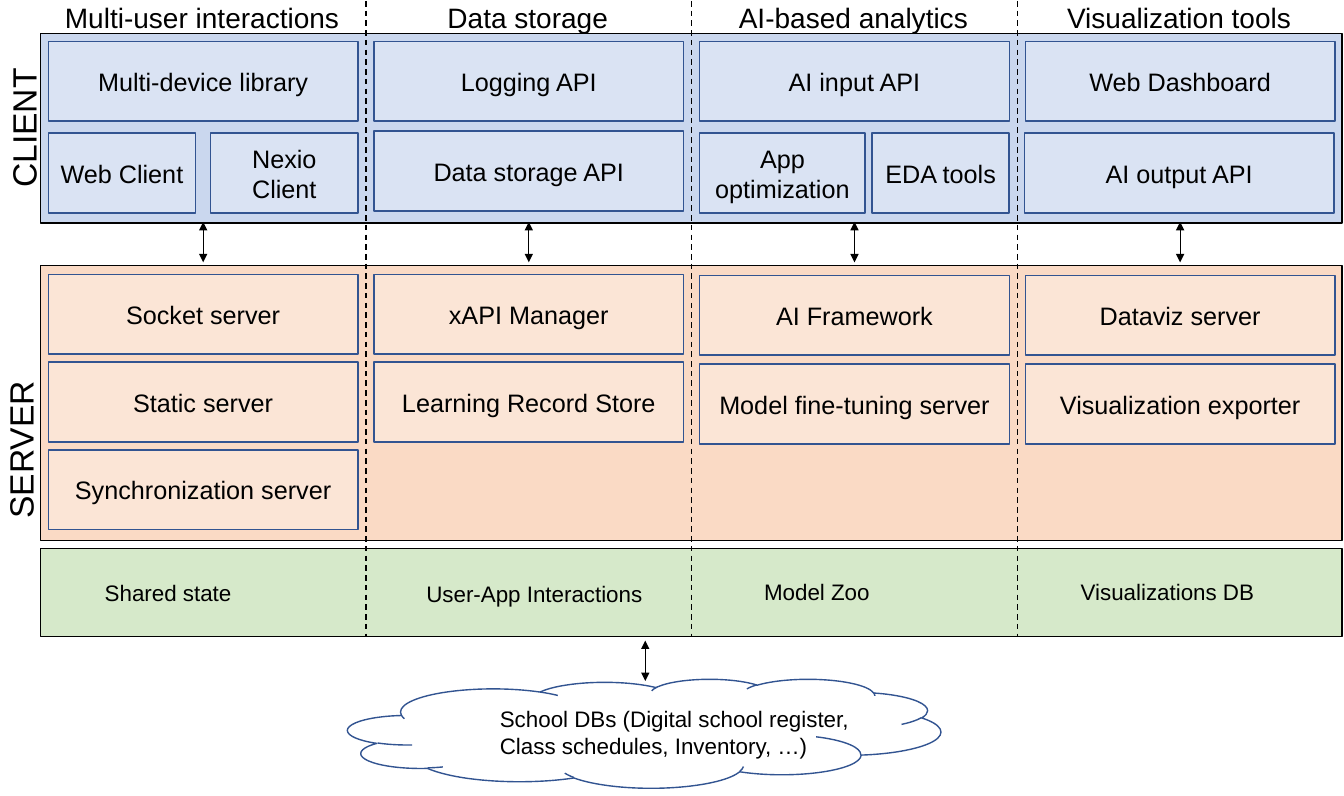
"""Builds the client and server architecture slide of a learning platform."""
from dataclasses import dataclass

from lxml import etree
from pptx import Presentation
from pptx import util as u
from pptx.dml.color import RGBColor
from pptx.enum import dml, shapes, text
from pptx.oxml.ns import qn


@dataclass(frozen=True)
class Theme:
    font: str = "Arial"
    ink: str = "000000"
    outline: str = "325491"
    paper: str = "FFFFFF"
    client_band: str = "B4C7E7"
    client_box: str = "DAE3F3"
    server_band: str = "F8CBAD"
    server_box: str = "FBE5D6"
    storage_band: str = "C5E0B4"
    tier_size: int = 24
    heading_size: int = 20
    box_size: int = 18
    store_size: int = 16


class Diagram:
    def __init__(self, slide, theme):
        self.slide = slide
        self.theme = theme

    def add_lines(self, frame, lines, size, align):
        frame.word_wrap = True
        for index, line in enumerate(lines):
            paragraph = frame.paragraphs[0] if index == 0 else frame.add_paragraph()
            paragraph.alignment = align
            run = paragraph.add_run()
            run.text = line
            run.font.name = self.theme.font
            run.font.size = u.Pt(size)
            run.font.color.rgb = RGBColor.from_string(self.theme.ink)

    def panel(self, place, fill, outline, kind=shapes.MSO_SHAPE.RECTANGLE, opacity=100):
        panel = self.slide.shapes.add_shape(kind, *map(u.Inches, place))
        panel.shadow.inherit = False
        panel.fill.solid()
        panel.fill.fore_color.rgb = RGBColor.from_string(fill)
        if opacity < 100:
            colour = panel._element.spPr.find(qn("a:solidFill")).find(qn("a:srgbClr"))
            etree.SubElement(colour, qn("a:alpha"), val=str(opacity * 1000))
        panel.line.color.rgb = RGBColor.from_string(outline)
        panel.line.width = u.Pt(1)
        return panel

    def band(self, top, height, fill):
        self.panel((BAND_LEFT, top, BAND_WIDTH, height), fill, self.theme.ink, opacity=70)

    def box(self, place, label, fill):
        frame = self.panel(place, fill, self.theme.outline).text_frame
        frame.vertical_anchor = text.MSO_ANCHOR.MIDDLE
        self.add_lines(frame, [label], self.theme.box_size, text.PP_ALIGN.CENTER)

    def label(self, place, lines, size, align=text.PP_ALIGN.LEFT, rotation=0):
        label = self.slide.shapes.add_textbox(*map(u.Inches, place))
        label.rotation = rotation
        self.add_lines(label.text_frame, lines, size, align)
        label.text_frame.auto_size = text.MSO_AUTO_SIZE.SHAPE_TO_FIT_TEXT

    def vertical(self, x, top, bottom, width):
        line = self.slide.shapes.add_connector(
            shapes.MSO_CONNECTOR.STRAIGHT, *map(u.Inches, (x, top, x, bottom)))
        line.line.color.rgb = RGBColor.from_string(self.theme.ink)
        line.line.width = u.Pt(width)
        etree.SubElement(line._element.spPr, qn("a:effectLst"))
        return line

    def divider(self, x):
        self.vertical(x, 0.01, 6.31, 1).line.dash_style = dml.MSO_LINE.DASH

    def exchange(self, x, top):
        stroke = self.vertical(x, top, top + 0.4, 0.75)._element.spPr.find(qn("a:ln"))
        for end in ("a:headEnd", "a:tailEnd"):
            etree.SubElement(stroke, qn(end), type="triangle")


BAND_LEFT, BAND_WIDTH = 0.4, 12.91
COLUMN, MARGIN = 3.23, 0.08
BOX_WIDTH, BOX_HEIGHT = 3.07, 0.79
HEADINGS = ["Multi-user interactions", "Data storage", "AI-based analytics", "Visualization tools"]
TIERS = [("CLIENT", (-0.7, 1.02, 1.86, 0.5)), ("SERVER", (-1.64, 4.21, 3.68, 0.5))]
CLIENT_TOP = ["Multi-device library", "Logging API", "AI input API", "Web Dashboard"]
CLIENT_BOTTOM = [
    (0.48, 1.32, 1.46, "Web Client"),
    (2.09, 1.32, 1.46, "Nexio Client"),
    (3.71, 1.3, BOX_WIDTH, "Data storage API"),
    (6.94, 1.32, 1.64, "App optimization"),
    (8.65, 1.32, 1.36, "EDA tools"),
    (10.16, 1.32, BOX_WIDTH, "AI output API"),
]
SERVERS = [
    (2.72, 0.87, ["Socket server", "Static server", "Synchronization server"]),
    (2.72, 0.87, ["xAPI Manager", "Learning Record Store"]),
    (2.73, 0.88, ["AI Framework", "Model fine-tuning server"]),
    (2.73, 0.88, ["Dataviz server", "Visualization exporter"]),
]
STORES = [
    (0.94, 5.69, 2.05, "Shared state"),
    (4.13, 5.7, 2.62, "User-App Interactions"),
    (7.48, 5.68, 2.05, "Model Zoo"),
    (10.62, 5.68, 2.29, "Visualizations DB"),
]
SCHOOL_DATABASES = ["School DBs (Digital school register,", "Class schedules, Inventory, …)"]


def main():
    deck = Presentation()
    deck.slide_width, deck.slide_height = u.Inches(13.33), u.Inches(7.89)
    theme = Theme()
    diagram = Diagram(deck.slides.add_slide(deck.slide_layouts[6]), theme)

    diagram.panel((3.45, 6.73, 5.88, 1.08), theme.paper, theme.outline, shapes.MSO_SHAPE.CLOUD)
    diagram.band(5.44, 0.87, theme.storage_band)
    diagram.band(0.33, 1.88, theme.client_band)
    diagram.band(2.63, 2.73, theme.server_band)
    for tier, place in TIERS:
        diagram.label(place, [tier], theme.tier_size, text.PP_ALIGN.CENTER, 270)

    for index, heading in enumerate(HEADINGS):
        left = BAND_LEFT + index * COLUMN
        if index:
            diagram.divider(left)
        diagram.label((left - 0.01, -0.04, COLUMN, 0.44), [heading],
                      theme.heading_size, text.PP_ALIGN.CENTER)
        diagram.box((left + MARGIN, 0.41, BOX_WIDTH, BOX_HEIGHT),
                    CLIENT_TOP[index], theme.client_box)
        first, step, servers = SERVERS[index]
        for row, server in enumerate(servers):
            diagram.box((left + MARGIN, first + row * step, BOX_WIDTH, BOX_HEIGHT),
                        server, theme.server_box)
        diagram.exchange(left + COLUMN / 2, 2.2)

    for left, top, width, client in CLIENT_BOTTOM:
        diagram.box((left, top, width, BOX_HEIGHT), client, theme.client_box)
    for left, top, width, store in STORES:
        diagram.label((left, top, width, 0.37), [store], theme.store_size)

    diagram.exchange(6.4, 6.35)
    diagram.label((4.86, 6.94, 4.36, 0.64), SCHOOL_DATABASES, theme.store_size)
    deck.save("out.pptx")


if __name__ == "__main__":
    main()
